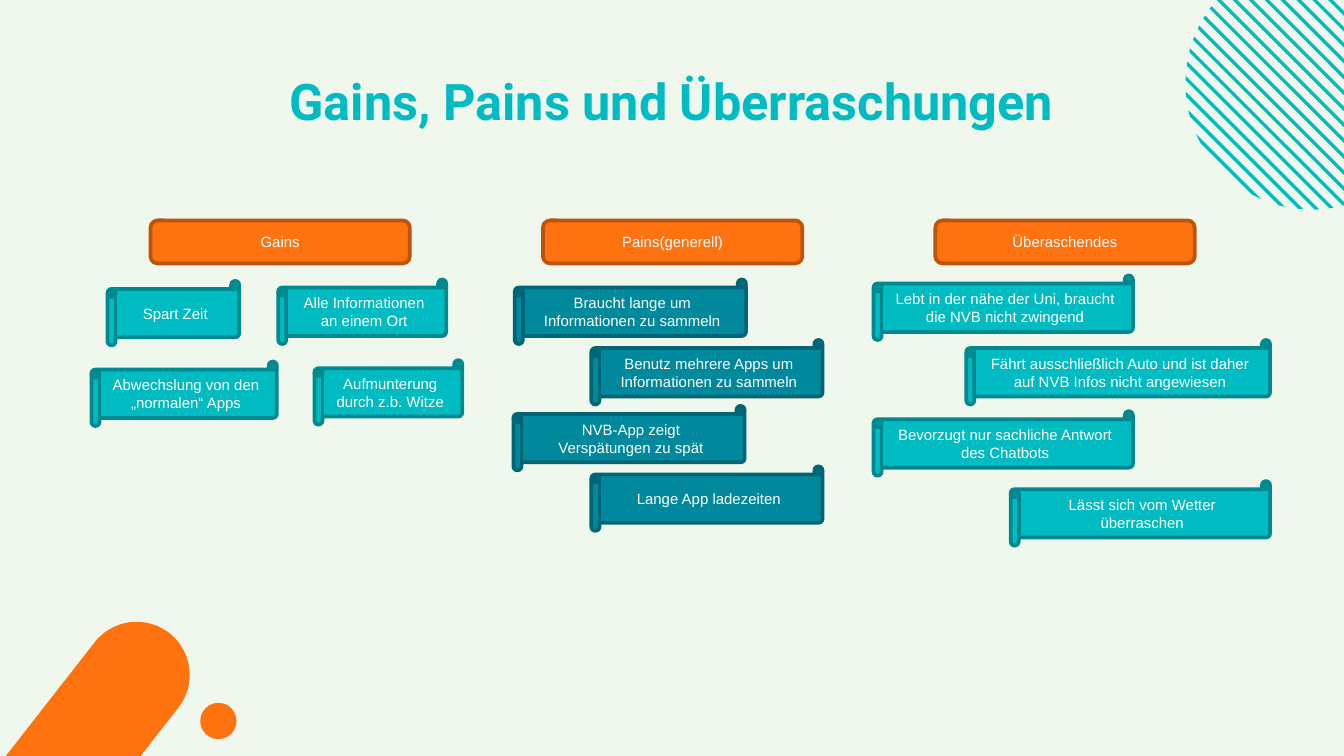
import math

import pptx
import pptx.dml.color
import pptx.enum.shapes
import pptx.enum.text
import pptx.util

PX = 9144
SLIDE_WIDTH = 1000

COLORS = {
    "background": "F0F7ED",
    "teal": "00BBC1",
    "teal_edge": "008A8F",
    "petrol": "00899D",
    "petrol_edge": "006574",
    "orange": "FF7210",
    "orange_edge": "BD540C",
    "white": "FFFFFF",
}

TITLE = "Gains, Pains und Überraschungen"
TITLE_BOX = (117, 42, 765, 61)

COLUMNS = [
    ("Gains", "teal", [
        (80, 209, 98, "Spart Zeit"),
        (207, 208, 125, "Alle Informationen an einem Ort"),
        (234, 268, 110, "Aufmunterung durch z.b. Witze"),
        (68, 269, 138, "Abwechslung von den „normalen“ Apps"),
    ]),
    ("Pains(generell)", "petrol", [
        (383, 208, 172, "Braucht lange um Informationen zu sammeln"),
        (440, 253, 172, "Benutz mehrere Apps um Informationen zu sammeln"),
        (382, 302, 172, "NVB-App zeigt Verspätungen zu spät"),
        (440, 347, 172, "Lange App ladezeiten"),
    ]),
    ("Überaschendes", "teal", [
        (650, 205, 193, "Lebt in der nähe der Uni, braucht die NVB nicht zwingend"),
        (719, 253, 226, "Fährt ausschließlich Auto und ist daher auf NVB Infos nicht angewiesen"),
        (650, 306, 193, "Bevorzugt nur sachliche Antwort des Chatbots"),
        (752, 358, 193, "Lässt sich vom Wetter überraschen"),
    ]),
]
HEADER_LEFT, HEADER_TOP, HEADER_WIDTH, HEADER_HEIGHT = 112, 164, 193, 32
COLUMN_STEP = 292
NOTE_HEIGHT = 48

DISC_X, DISC_Y, DISC_RADIUS = 976, 62, 94
STRIPE_COUNT, STRIPE_STEP, STRIPE_WIDTH = 18, 11.85, 3.5
FIRST_STRIPE = 990

PILL = (-76, 530, 250, 79)
PILL_ANGLE = -52
DOT = (149, 523, 27, 27)

TITLE_FONT = {"name": "Roboto", "size": pptx.util.Pt(27), "bold": True}
BODY_FONT = {"name": "Arial", "size": pptx.util.Pt(8), "bold": False}
TITLE_FRAME = {
    "word_wrap": True,
    "auto_size": pptx.enum.text.MSO_AUTO_SIZE.NONE,
    "vertical_anchor": pptx.enum.text.MSO_ANCHOR.TOP,
    **{f"margin_{side}": 10 * PX for side in ("left", "top", "right", "bottom")},
}
BODY_FRAME = {"word_wrap": True, "vertical_anchor": pptx.enum.text.MSO_ANCHOR.MIDDLE}
KINDS = pptx.enum.shapes.MSO_SHAPE


def rgb(color):
    return pptx.dml.color.RGBColor.from_string(COLORS[color])


def emu(box):
    return [length * PX for length in box]


def apply(target, values):
    for name, value in values.items():
        setattr(target, name, value)


def write(frame, text, frame_format, font_format, color):
    apply(frame, frame_format)
    frame.text = text
    paragraph = frame.paragraphs[0]
    paragraph.alignment = pptx.enum.text.PP_ALIGN.CENTER
    font = paragraph.runs[0].font
    apply(font, font_format)
    font.color.rgb = rgb(color)


def paint(shape, color, edge=None):
    shape.shadow.inherit = False
    shape.fill.solid()
    shape.fill.fore_color.rgb = rgb(color)
    if edge:
        shape.line.color.rgb = rgb(edge)
        shape.line.width = pptx.util.Pt(2)
    else:
        shape.line.fill.background()


def add_label(slide, kind, box, text, color):
    label = slide.shapes.add_shape(kind, *emu(box))
    paint(label, color, color + "_edge")
    write(label.text_frame, text, BODY_FRAME, BODY_FONT, "white")


def chord(offset):
    reach = math.sqrt(2 * DISC_RADIUS ** 2 - (offset - DISC_X + DISC_Y) ** 2)
    sums = (DISC_X + DISC_Y - reach, DISC_X + DISC_Y + reach)
    return [((total + offset) / 2 * PX, (total - offset) / 2 * PX) for total in sums]


def add_striped_disc(slide):
    for index in range(STRIPE_COUNT):
        middle = FIRST_STRIPE - index * STRIPE_STEP
        upper = chord(middle + STRIPE_WIDTH / 2)
        lower = chord(middle - STRIPE_WIDTH / 2)
        builder = slide.shapes.build_freeform(*upper[0], scale=1.0)
        builder.add_line_segments([upper[1], lower[1], lower[0]], close=True)
        paint(builder.convert_to_shape(), "teal")


def add_corner(slide):
    pill = slide.shapes.add_shape(KINDS.ROUNDED_RECTANGLE, *emu(PILL))
    pill.adjustments[0] = 0.5
    pill.rotation = PILL_ANGLE
    dot = slide.shapes.add_shape(KINDS.OVAL, *emu(DOT))
    for part in (pill, dot):
        paint(part, "orange")


def main():
    deck = pptx.Presentation()
    deck.slide_width = SLIDE_WIDTH * PX
    deck.slide_height = deck.slide_width * 9 // 16
    slide = deck.slides.add_slide(deck.slide_layouts[5])
    slide.background.fill.solid()
    slide.background.fill.fore_color.rgb = rgb("background")

    add_striped_disc(slide)
    add_corner(slide)

    title = slide.shapes.title
    apply(title, dict(zip(("left", "top", "width", "height"), emu(TITLE_BOX))))
    write(title.text_frame, TITLE, TITLE_FRAME, TITLE_FONT, "teal")

    for index, (header, color, notes) in enumerate(COLUMNS):
        left = HEADER_LEFT + index * COLUMN_STEP
        box = (left, HEADER_TOP, HEADER_WIDTH, HEADER_HEIGHT)
        add_label(slide, KINDS.ROUNDED_RECTANGLE, box, header, "orange")
        for note_left, note_top, note_width, note in notes:
            box = (note_left, note_top, note_width, NOTE_HEIGHT)
            add_label(slide, KINDS.HORIZONTAL_SCROLL, box, note, color)

    deck.save("out.pptx")


if __name__ == "__main__":
    main()
